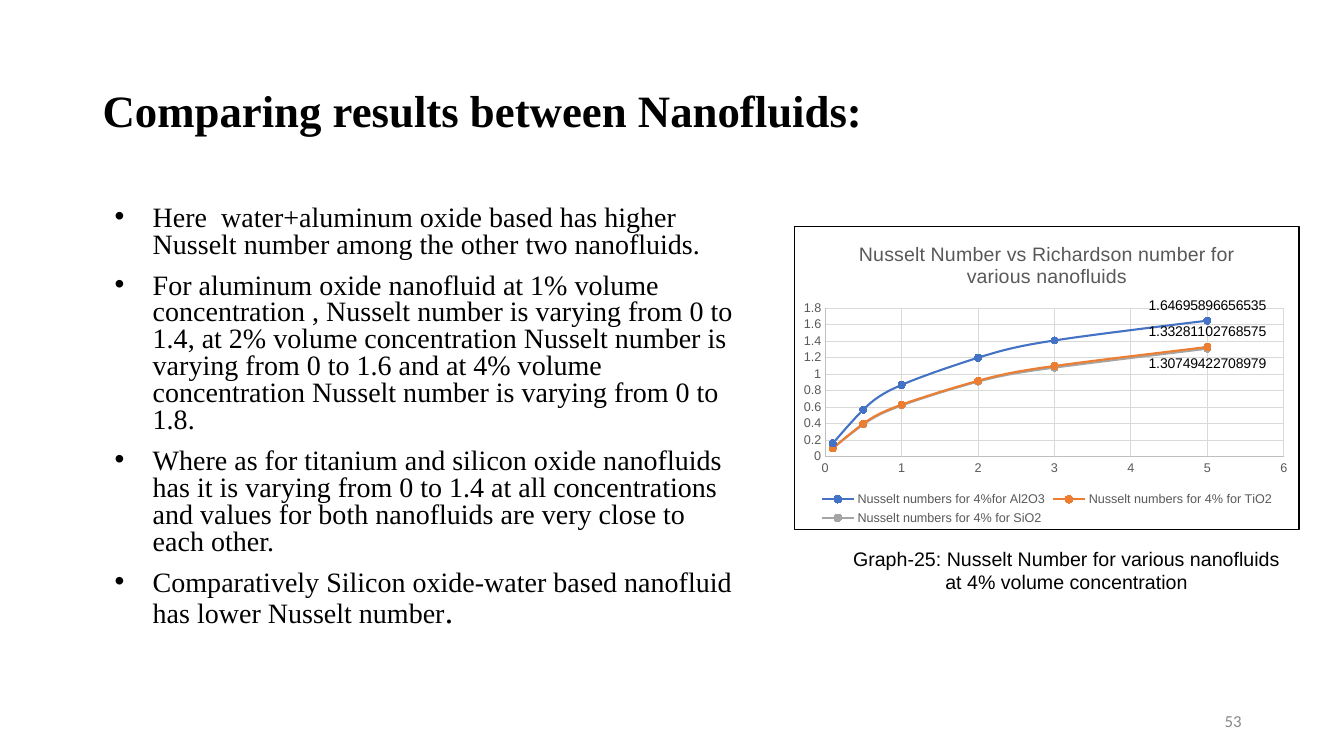
from lxml import etree
from pptx import Presentation
from pptx.chart.data import XyChartData
from pptx.dml.color import RGBColor
from pptx.enum.chart import XL_CHART_TYPE, XL_LABEL_POSITION, XL_LEGEND_POSITION, XL_MARKER_STYLE, XL_TICK_MARK
from pptx.enum.text import MSO_ANCHOR, PP_ALIGN
from pptx.oxml import parse_xml
from pptx.oxml.ns import nsdecls, qn
from pptx.util import Cm, Pt

SCATTER = XL_CHART_TYPE.XY_SCATTER_SMOOTH
ABOVE, BELOW = XL_LABEL_POSITION.ABOVE, XL_LABEL_POSITION.BELOW
LEGEND_BOTTOM = XL_LEGEND_POSITION.BOTTOM
CIRCLE = XL_MARKER_STYLE.CIRCLE
NO_TICK = XL_TICK_MARK.NONE
LEFT, CENTER, RIGHT = PP_ALIGN.LEFT, PP_ALIGN.CENTER, PP_ALIGN.RIGHT
TOP, MIDDLE = MSO_ANCHOR.TOP, MSO_ANCHOR.MIDDLE

COLORS = {
    "black": "000000", "white": "FFFFFF", "number": "888888",
    "chart_text": "595959", "axis": "BFBFBF", "grid": "D9D9D9",
    "alumina": "4472C4", "titania": "ED7D31", "silica": "A5A5A5",
}
SERIF, SANS, NUMBER_FONT = "Times New Roman", "Arial", "Calibri"

POINTS = [
    "Here  water+aluminum oxide based has higher Nusselt number among the other two nanofluids.",
    "For aluminum oxide nanofluid at 1% volume concentration , Nusselt number is varying from 0 to 1.4, "
    "at 2% volume concentration Nusselt number is varying from 0 to 1.6 and at 4% volume concentration "
    "Nusselt number is varying from 0 to 1.8.",
    "Where as for titanium and silicon oxide nanofluids has it is varying from 0 to 1.4 at all "
    "concentrations and values for both nanofluids are very close to each other.",
    "Comparatively Silicon oxide-water based nanofluid has lower Nusselt number",
]
RICHARDSON = [0.1, 0.5, 1, 2, 3, 5]
NUSSELT = [
    ("Nusselt numbers for 4%for Al2O3", "alumina", ABOVE, "1.64695896656535",
     [0.16, 0.57, 0.87, 1.2, 1.41, 1.65]),
    ("Nusselt numbers for 4% for TiO2", "titania", ABOVE, "1.33281102768575",
     [0.1, 0.4, 0.63, 0.92, 1.1, 1.33]),
    ("Nusselt numbers for 4% for SiO2", "silica", BELOW, "1.30749422708979",
     [0.1, 0.39, 0.62, 0.91, 1.08, 1.31]),
]


def color(name):
    return RGBColor.from_string(COLORS[name])


def style_font(font, name, size, shade, bold=False):
    font.name, font.size, font.bold = name, Pt(size), bold
    font.color.rgb = color(shade)


def style_line(line, shade, width):
    line.color.rgb = color(shade)
    line.width = Pt(width)


def add_title(page, box):
    title = page.shapes.title
    title.left, title.top, title.width, title.height = box
    frame = title.text_frame
    frame.text = "Comparing results between Nanofluids:"
    frame.vertical_anchor = MIDDLE
    para = frame.paragraphs[0]
    para.alignment, para.line_spacing = LEFT, 0.9
    style_font(para.runs[0].font, SERIF, 32, "black", True)


def add_text(page, box, text, font, size, shade, alignment, anchor=TOP):
    frame = page.shapes.add_textbox(*box).text_frame
    frame.word_wrap = True
    frame.vertical_anchor = anchor
    frame.text = text
    para = frame.paragraphs[0]
    para.alignment = alignment
    style_font(para.runs[0].font, font, size, shade)


def add_bullet(para):
    properties = para._p.get_or_add_pPr()
    properties.set("marL", str(Cm(1.27)))
    properties.set("indent", str(-Cm(0.96)))
    tint = etree.SubElement(properties, qn("a:buClr"))
    etree.SubElement(tint, qn("a:srgbClr"), val=COLORS["black"])
    etree.SubElement(properties, qn("a:buFont"), typeface=SANS)
    etree.SubElement(properties, qn("a:buChar"), char="•")


def add_points(page, box):
    frame = page.shapes.add_textbox(*box).text_frame
    frame.word_wrap = True
    for index, text in enumerate(POINTS):
        para = frame.add_paragraph() if index else frame.paragraphs[0]
        para.text = text
        add_bullet(para)
        para.line_spacing = 0.8
        if index:
            para.space_before = Pt(10)
        style_font(para.runs[0].font, SERIF, 20, "black")
    stop = para.add_run()
    stop.text = "."
    style_font(stop.font, SERIF, 24, "black")


def style_axis(axis, maximum, step):
    axis.minimum_scale, axis.maximum_scale, axis.major_unit = 0, maximum, step
    axis.major_tick_mark = axis.minor_tick_mark = NO_TICK
    axis.has_major_gridlines = True
    style_line(axis.major_gridlines.format.line, "grid", 0.75)
    style_line(axis.format.line, "axis", 0.75)
    style_font(axis.tick_labels.font, SANS, 9, "chart_text")


def style_series(series, shade, position, reading):
    style_line(series.format.line, shade, 1.5)
    series.marker.style, series.marker.size = CIRCLE, 5
    series.marker.format.fill.solid()
    series.marker.format.fill.fore_color.rgb = color(shade)
    style_line(series.marker.format.line, shade, 0.75)
    label = series.points[len(RICHARDSON) - 1].data_label
    frame = label.text_frame
    frame.text = reading
    frame.word_wrap = False
    style_font(frame.paragraphs[0].runs[0].font, SANS, 10, "black")
    label.position = position
    series._element.find(qn("c:dLbls")).find(qn("c:showVal")).set("val", "0")
    series._element.find(qn("c:smooth")).set("val", "1")


def frame_chart(chart):
    border = parse_xml(
        f'<c:spPr {nsdecls("c", "a")}><a:solidFill><a:srgbClr val="{COLORS["white"]}"/></a:solidFill>'
        f'<a:ln w="{Pt(0.75)}"><a:solidFill><a:srgbClr val="{COLORS["black"]}"/></a:solidFill></a:ln></c:spPr>'
    )
    body = chart._chartSpace.find(qn("c:chart"))
    body.addnext(border)
    area = body.find(qn("c:plotArea"))
    for layout in area.findall(qn("c:layout")):
        area.remove(layout)
    layout = etree.Element(qn("c:layout"))
    manual = etree.SubElement(layout, qn("c:manualLayout"))
    settings = [("layoutTarget", "inner"), ("xMode", "edge"), ("yMode", "edge"),
                ("x", "0.06"), ("y", "0.27"), ("w", "0.91"), ("h", "0.49")]
    for tag, value in settings:
        etree.SubElement(manual, qn(f"c:{tag}"), val=value)
    area.insert(0, layout)


def add_nusselt_chart(page, box):
    data = XyChartData()
    for name, _, _, _, values in NUSSELT:
        series = data.add_series(name)
        for richardson, nusselt in zip(RICHARDSON, values):
            series.add_data_point(richardson, nusselt)
    chart = page.shapes.add_chart(SCATTER, *box, data).chart
    style_font(chart.font, SANS, 10, "black")
    chart.has_title = True
    heading = chart.chart_title.text_frame
    heading.text = "Nusselt Number vs Richardson number for various nanofluids"
    style_font(heading.paragraphs[0].runs[0].font, SANS, 14, "chart_text")
    chart.has_legend = True
    chart.legend.position = LEGEND_BOTTOM
    chart.legend.include_in_layout = False
    style_font(chart.legend.font, SANS, 9, "chart_text")
    style_axis(chart.category_axis, 6, 1)
    style_axis(chart.value_axis, 1.8, 0.2)
    plot = chart.plots[0]
    plot.vary_by_categories = False
    for series, (_, shade, position, reading, _) in zip(plot.series, NUSSELT):
        style_series(series, shade, position, reading)
    frame_chart(chart)


def main():
    deck = Presentation()
    deck.slide_width, deck.slide_height = Cm(33.87), Cm(19.05)
    page = deck.slides.add_slide(deck.slide_layouts[5])
    add_title(page, (Cm(2.33), Cm(1), Cm(29.21), Cm(3.68)))
    add_points(page, (Cm(2.33), Cm(5.06), Cm(16.51), Cm(12.09)))
    add_text(page, (Cm(23.92), Cm(17.65), Cm(7.62), Cm(1.02)),
             "53", NUMBER_FONT, 12, "number", RIGHT, MIDDLE)
    add_nusselt_chart(page, (Cm(20.02), Cm(5.7), Cm(12.73), Cm(7.65)))
    add_text(page, (Cm(21.04), Cm(13.65), Cm(11.68), Cm(2.11)),
             "Graph-25: Nusselt Number for various nanofluids at 4% volume concentration",
             SANS, 14, "black", CENTER)
    deck.save("out.pptx")


if __name__ == "__main__":
    main()
